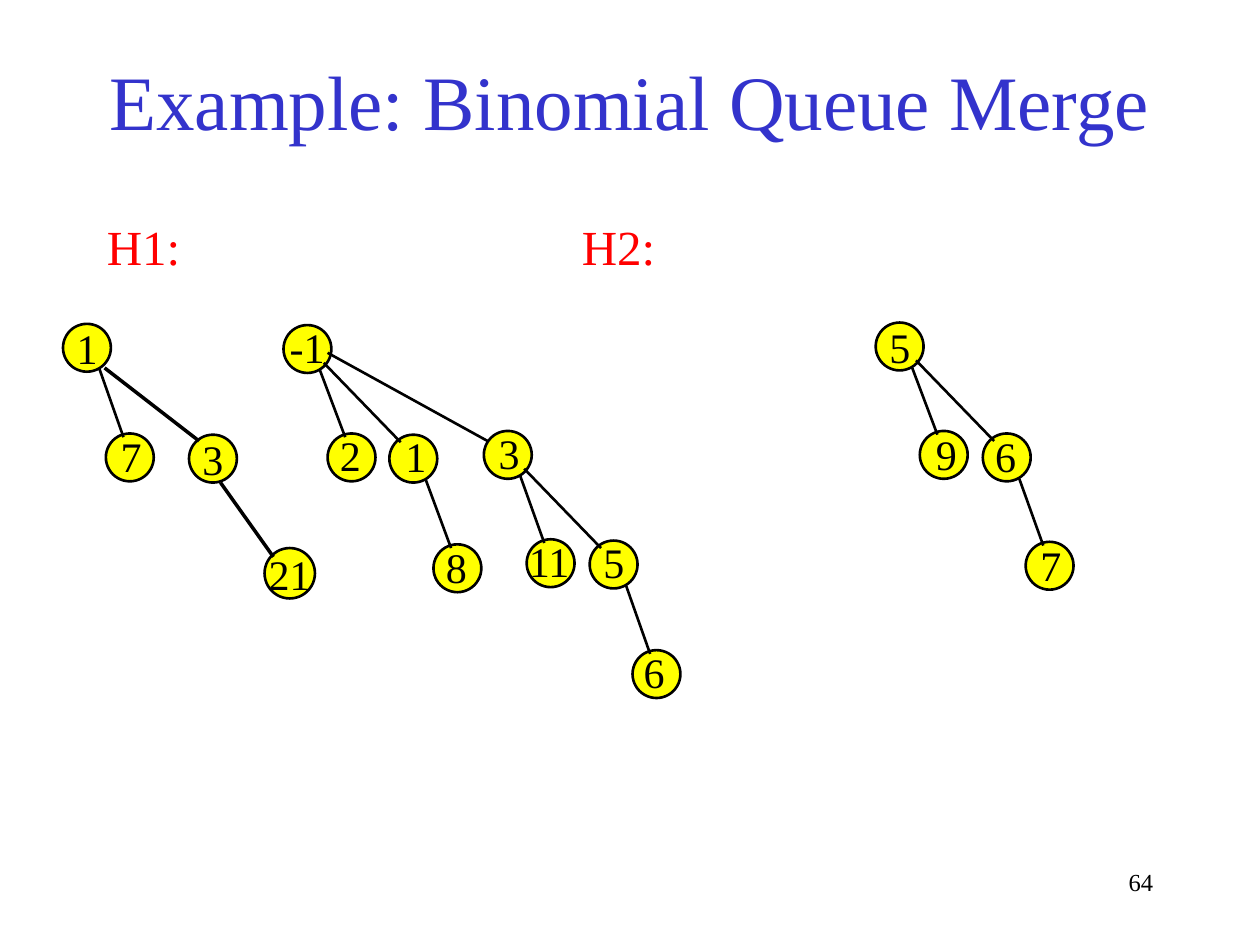
"""Build a slide showing two binomial queues, H1 and H2, before a merge."""
from lxml.etree import SubElement
from pptx import Presentation
from pptx.dml.color import RGBColor
from pptx.enum.shapes import MSO_CONNECTOR, MSO_SHAPE
from pptx.enum.text import MSO_ANCHOR, MSO_AUTO_SIZE, PP_ALIGN
from pptx.oxml.ns import qn
from pptx.util import Inches, Pt

BLACK = RGBColor(0x00, 0x00, 0x00)
BLUE = RGBColor(0x33, 0x33, 0xCC)
RED = RGBColor(0xFF, 0x00, 0x00)
YELLOW = RGBColor(0xFF, 0xFF, 0x00)

TITLE = "Example: Binomial Queue Merge"
QUEUE_NAMES = "H1:\tH2:"
PAGE_NUMBER = "64"

NODE_SIZE = 0.38
LABEL_WIDTHS = {"-1": 0.48, "11": 0.53}
LABEL_WIDTH, LABEL_HEIGHT = 0.37, 0.5

# key: (label, circle position, label position or None when inside the circle)
NODES = {
    "a": ("1", (0.5, 2.57), (0.51, 2.51)),
    "a7": ("7", (0.84, 3.44), (0.86, 3.37)),
    "a3": ("3", (1.5, 3.45), None),
    "a21": ("21", (2.1, 4.35), None),
    "b": ("-1", (2.25, 2.58), (2.2, 2.5)),
    "b2": ("2", (2.6, 3.44), (2.6, 3.36)),
    "b1": ("1", (3.09, 3.45), (3.12, 3.37)),
    "b8": ("8", (3.44, 4.32), (3.44, 4.25)),
    "b3": ("3", (3.84, 3.42), (3.86, 3.34)),
    "b11": ("11", (4.18, 4.28), (4.1, 4.2)),
    "b5": ("5", (4.68, 4.29), (4.69, 4.21)),
    "b6": ("6", (5.02, 5.16), (5.01, 5.08)),
    "c": ("5", (6.95, 2.56), (6.96, 2.5)),
    "c9": ("9", (7.3, 3.42), (7.33, 3.35)),
    "c6": ("6", (7.8, 3.44), (7.8, 3.37)),
    "c7": ("7", (8.14, 4.3), (8.16, 4.23)),
}
NODE_SIZES = {"a21": 0.4}

EDGE_STYLES = {
    "steep": ((0.29, 0.36), (0.14, 0.03), 1.5),
    "diagonal": ((0.32, 0.3), (0.09, 0.06), 1.5),
    "long": ((0.35, 0.22), (0.03, 0.08), 1.5),
    "bold top": ((0.33, 0.35), (0.08, 0.05), 2),
    "bold bottom": ((0.25, 0.38), (0.07, 0.07), 2),
}
EDGES = {
    "steep": [("a", "a7"), ("b", "b2"), ("b1", "b8"), ("b3", "b11"),
              ("b5", "b6"), ("c", "c9"), ("c6", "c7")],
    "diagonal": [("b", "b1"), ("b3", "b5"), ("c", "c6")],
    "long": [("b", "b3")],
    "bold top": [("a", "a3")],
    "bold bottom": [("a3", "a21")],
}


def write(shape, text, size, color, align=PP_ALIGN.LEFT, **frame_format):
    frame = shape.text_frame
    for name, value in frame_format.items():
        setattr(frame, name, value)
    paragraph = frame.paragraphs[0]
    paragraph.alignment = align
    run = paragraph.add_run()
    run.text = text
    for name, value in {"name": "Times New Roman", "size": Pt(size)}.items():
        setattr(run.font, name, value)
    run.font.color.rgb = color
    return paragraph


def add_text(slide, bounds, *content, **frame_format):
    box = slide.shapes.add_textbox(*map(Inches, bounds))
    return write(box, *content, **frame_format)


def add_node(slide, key):
    label, position, label_position = NODES[key]
    size = NODE_SIZES.get(key, NODE_SIZE)
    circle = slide.shapes.add_shape(
        MSO_SHAPE.OVAL, *map(Inches, (*position, size, size)))
    circle.shadow.inherit = False
    circle.fill.solid()
    circle.fill.fore_color.rgb = YELLOW
    circle.line.color.rgb = BLACK
    circle.line.width = Pt(1.5)
    if label_position is None:
        write(circle, label, 24, BLACK, PP_ALIGN.CENTER,
              word_wrap=False, vertical_anchor=MSO_ANCHOR.MIDDLE)


def add_label(slide, key):
    label, _, position = NODES[key]
    if position is not None:
        width = LABEL_WIDTHS.get(label, LABEL_WIDTH)
        add_text(slide, (*position, width, LABEL_HEIGHT), label, 24, BLACK,
                 word_wrap=False, auto_size=MSO_AUTO_SIZE.SHAPE_TO_FIT_TEXT)


def add_edge(slide, parent, child, style):
    start_offset, end_offset, width = EDGE_STYLES[style]
    ends = [Inches(corner + shift)
            for key, offset in ((parent, start_offset), (child, end_offset))
            for corner, shift in zip(NODES[key][1], offset)]
    edge = slide.shapes.add_connector(MSO_CONNECTOR.STRAIGHT, *ends)
    edge.line.color.rgb = BLACK
    edge.line.width = Pt(width)
    SubElement(edge._element.spPr, qn("a:effectLst"))


def main():
    presentation = Presentation()
    presentation.slide_width, presentation.slide_height = Inches(10), Inches(7.5)
    slide = presentation.slides.add_slide(presentation.slide_layouts[5])

    title = slide.shapes.title
    bounds = {"left": 0.75, "top": 0.17, "width": 8.5, "height": 1.25}
    for name, value in bounds.items():
        setattr(title, name, Inches(value))
    write(title, TITLE, 44, BLUE, PP_ALIGN.CENTER,
          word_wrap=True, vertical_anchor=MSO_ANCHOR.MIDDLE)

    names = add_text(slide, (0.75, 1.67, 4.56, 0.57), QUEUE_NAMES, 28, RED,
                     word_wrap=True)
    tabs = SubElement(names._p.get_or_add_pPr(), qn("a:tabLst"))
    SubElement(tabs, qn("a:tab"), pos=str(Inches(3.77)), algn="l")

    for key in NODES:
        add_node(slide, key)
    for style, pairs in EDGES.items():
        for parent, child in pairs:
            add_edge(slide, parent, child, style)
    for key in NODES:
        add_label(slide, key)

    add_text(slide, (7.17, 6.83, 2.08, 0.5), PAGE_NUMBER, 14, BLACK,
             PP_ALIGN.RIGHT, word_wrap=True)
    presentation.save("out.pptx")


if __name__ == "__main__":
    main()
